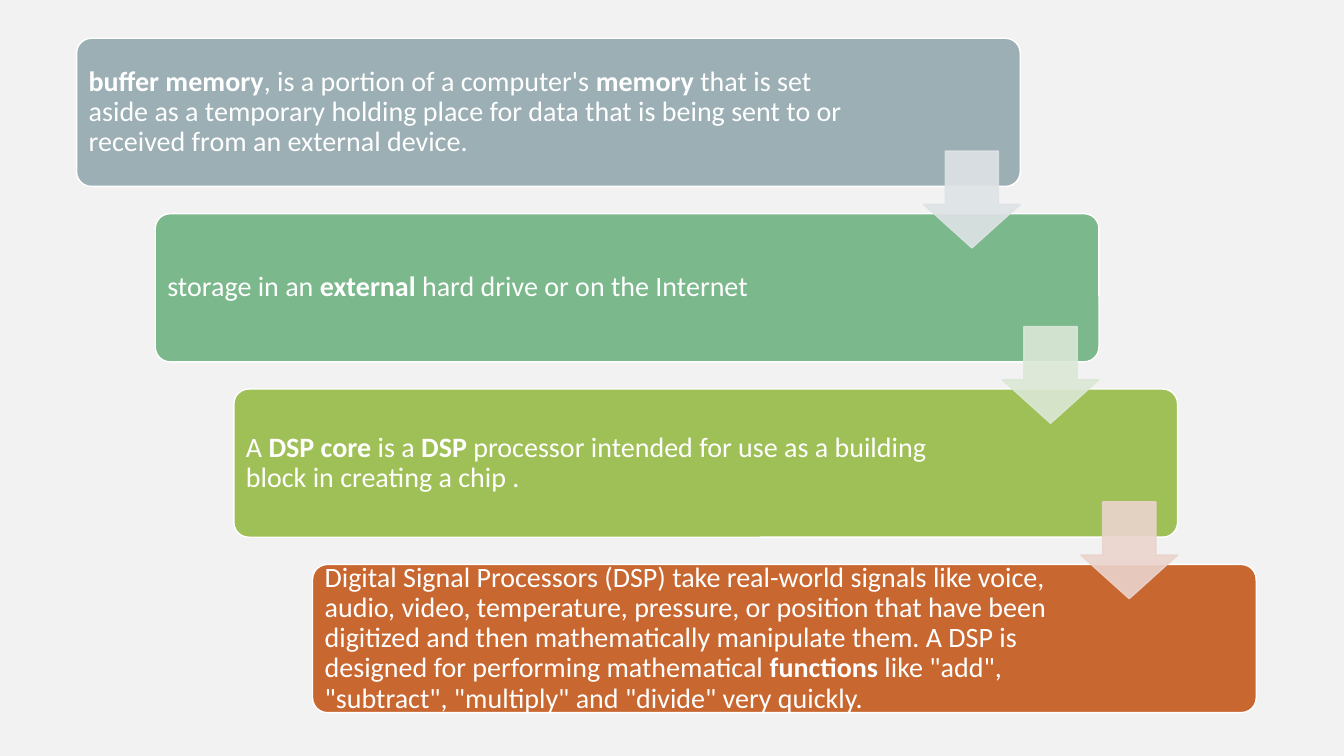
from pptx import Presentation
from pptx.dml.color import RGBColor
from pptx.enum.shapes import MSO_SHAPE
from pptx.enum.text import MSO_ANCHOR, PP_ALIGN
from pptx.oxml.ns import qn
from pptx.util import Inches, Pt
from lxml import etree

ROUND_RECT, DOWN_ARROW = MSO_SHAPE.ROUNDED_RECTANGLE, MSO_SHAPE.DOWN_ARROW
MIDDLE, LEFT = MSO_ANCHOR.MIDDLE, PP_ALIGN.LEFT

THEME = {
    "background": "F2F2F2",
    "text": "FFFFFF",
    "outline": "FFFFFF",
    "steps": ["9BAFB5", "7BB88C", "9FC057", "C96731"],
    "arrows": ["DEE3E5", "DBE8D6", "EBD3CD"],
    "font": "Calibri",
    "size": 20,
}

# Step texts with their text widths; ** switches bold on and off
STEPS = [
    ("**buffer memory**, is a portion of a computer's **memory** that is set aside as a "
     "temporary holding place for data that is being sent to or received from an "
     "external device.", 7.64),
    ("storage in an **external** hard drive or on the Internet", 7.53),
    ("A **DSP core** is a **DSP** processor intended for use as a building block in "
     "creating a chip .", 7.54),
    ("Digital Signal Processors (DSP) take real-world signals like voice, audio, video, "
     "temperature, pressure, or position that have been digitized and then "
     "mathematically manipulate them. A DSP is designed for performing mathematical "
     "**functions** like \"add\", \"subtract\", \"multiply\" and \"divide\" very quickly.", 7.53),
]

# Staircase geometry in inches
STEP_LEFT, STEP_TOP, STEP_W, STEP_H = 0.76, 0.38, 9.36, 1.47
SHIFT_X, SHIFT_Y = 0.78, 1.74
ARROW_LEFT, ARROW_TOP, ARROW_SIZE = 9.16, 1.5, 0.96
TEXT_OFFSET, INSET = 0.04, 0.08


def rgb(color):
    return RGBColor.from_string(color)


def add_filled_shape(s, kind, box, adjustments, fill, line):
    sp = s.shapes.add_shape(kind, *map(Inches, box))
    sp.shadow.inherit = False
    for i, value in enumerate(adjustments):
        sp.adjustments[i] = value
    sp.fill.solid()
    sp.fill.fore_color.rgb = rgb(fill)
    sp.line.color.rgb = rgb(line)
    sp.line.width = Pt(1)
    return sp


def set_opacity(sp, percent):
    for color in sp._element.spPr.iter(qn("a:srgbClr")):
        etree.SubElement(color, qn("a:alpha"), val=str(percent * 1000))


def add_step_text(s, box, text):
    tf = s.shapes.add_textbox(*map(Inches, box)).text_frame
    frame_format = {"word_wrap": True, "vertical_anchor": MIDDLE}
    for side in ("left", "right", "top", "bottom"):
        frame_format[f"margin_{side}"] = Inches(INSET)
    for name, value in frame_format.items():
        setattr(tf, name, value)
    p = tf.paragraphs[0]
    p.alignment = LEFT
    p.line_spacing = 0.9
    for i, part in enumerate(text.split("**")):
        if not part:
            continue
        r = p.add_run()
        r.text = part
        run_format = {"name": THEME["font"], "size": Pt(THEME["size"]), "bold": i % 2 == 1}
        for name, value in run_format.items():
            setattr(r.font, name, value)
        r.font.color.rgb = rgb(THEME["text"])


def add_step(s, i, text, text_width):
    left, top = STEP_LEFT + i * SHIFT_X, STEP_TOP + i * SHIFT_Y
    add_filled_shape(s, ROUND_RECT, (left, top, STEP_W, STEP_H), [0.1],
                     THEME["steps"][i], THEME["outline"])
    add_step_text(s, (left + TEXT_OFFSET, top + TEXT_OFFSET, text_width,
                      STEP_H - 2 * TEXT_OFFSET), text)


def add_arrow(s, i, color):
    box = (ARROW_LEFT + i * SHIFT_X, ARROW_TOP + i * SHIFT_Y, ARROW_SIZE, ARROW_SIZE)
    # Adjustments: shaft width, then head length
    sp = add_filled_shape(s, DOWN_ARROW, box, [0.55, 0.45], color, color)
    set_opacity(sp, 90)


def main():
    prs = Presentation()
    prs.slide_width, prs.slide_height = Inches(13.33), Inches(7.5)
    s = prs.slides.add_slide(prs.slide_layouts[6])
    s.background.fill.solid()
    s.background.fill.fore_color.rgb = rgb(THEME["background"])

    # Steps first, so that the arrows lie over them
    for i, (text, text_width) in enumerate(STEPS):
        add_step(s, i, text, text_width)
    for i, color in enumerate(THEME["arrows"]):
        add_arrow(s, i, color)

    prs.save("out.pptx")


if __name__ == "__main__":
    main()
